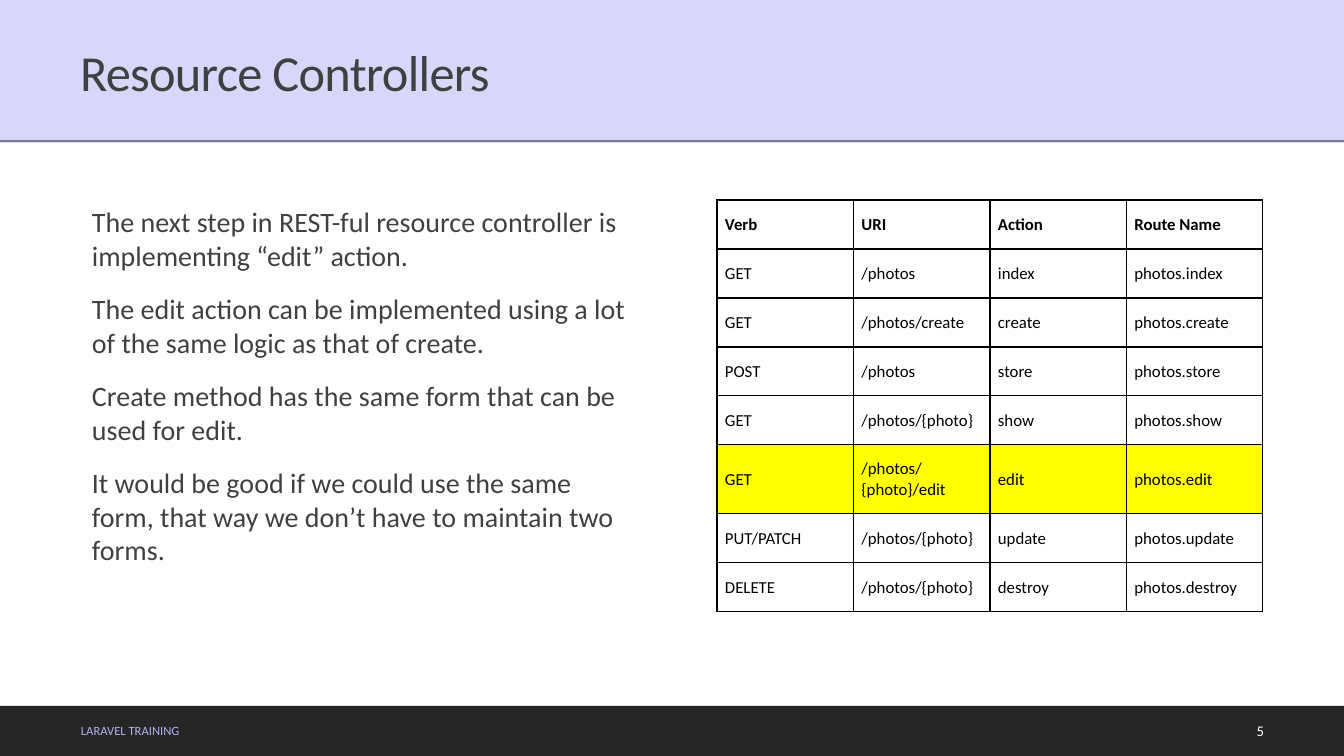
"""Build the Resource Controllers slide with its route table."""
from lxml import etree
from pptx import Presentation
from pptx.dml.color import RGBColor
from pptx.enum.shapes import MSO_CONNECTOR, MSO_SHAPE
from pptx.enum.text import MSO_ANCHOR, MSO_AUTO_SIZE, PP_ALIGN
from pptx.oxml import parse_xml
from pptx.oxml.ns import nsdecls, qn
from pptx.util import Pt

PX = 914400 / 100.8
RECT = MSO_SHAPE.RECTANGLE
LINE = MSO_CONNECTOR.STRAIGHT
MID, TOP = MSO_ANCHOR.MIDDLE, MSO_ANCHOR.TOP
LEFT, RIGHT = PP_ALIGN.LEFT, PP_ALIGN.RIGHT
FIXED = MSO_AUTO_SIZE.NONE
DARK, LILAC, BLACK = "404040", "B2B1F4", "000000"
NOTES = [
    "The next step in REST-ful resource controller is implementing “edit” action.",
    "The edit action can be implemented using a lot of the same logic as that of create.",
    "Create method has the same form that can be used for edit.",
    "It would be good if we could use the same form, that way we don’t have to maintain two forms.",
]
ROUTES = [
    ("Verb", "URI", "Action", "Route Name"),
    ("GET", "/photos", "index", "photos.index"),
    ("GET", "/photos/create", "create", "photos.create"),
    ("POST", "/photos", "store", "photos.store"),
    ("GET", "/photos/{photo}", "show", "photos.show"),
    ("GET", "/photos/{photo}/edit", "edit", "photos.edit"),
    ("PUT/PATCH", "/photos/{photo}", "update", "photos.update"),
    ("DELETE", "/photos/{photo}", "destroy", "photos.destroy"),
]


def px(*nums):
    return [round(n * PX) for n in nums]


def write(para, text, size, color, bold=False):
    run = para.add_run()
    run.text = text
    font = run.font
    font.name, font.size, font.bold = "Calibri", Pt(size), bold
    font.color.rgb = RGBColor.from_string(color)
    return run


deck = Presentation()
deck.slide_width, deck.slide_height = px(1344, 756)
slide = deck.slides.add_slide(deck.slide_layouts[5])
shapes = slide.shapes

foot = shapes.add_shape(RECT, *px(0, 706, 1344, 50))
foot.shadow.inherit = False
foot.fill.solid()
foot.fill.fore_color.rgb = RGBColor.from_string("262626")
foot.line.fill.background()

rule = shapes.add_connector(LINE, *px(0, 141, 1344, 141))
rule.line.color.rgb = RGBColor.from_string(DARK)
rule.line.width = Pt(1)
etree.SubElement(rule._element.spPr, qn("a:effectLst"))

for left, wide, text, size, color, align in [
    (71, 752, "LARAVEL TRAINING", 9, LILAC, LEFT),
    (1205, 69, "5", 10.5, "FFFFFF", RIGHT),
]:
    box = shapes.add_textbox(*px(left, 711, wide, 40))
    frame = box.text_frame
    frame.word_wrap = True
    frame.vertical_anchor = MID
    para = frame.paragraphs[0]
    para.alignment = align
    write(para, text, size, color)

title = shapes.title
title.left, title.top, title.width, title.height = px(0, 0, 1344, 143)
title.fill.solid()
title.fill.fore_color.rgb = RGBColor.from_string(LILAC)
tint = title._element.spPr.find(".//" + qn("a:srgbClr"))
etree.SubElement(tint, qn("a:alpha"), val="50000")
frame = title.text_frame
frame.word_wrap = True
frame.auto_size = FIXED
frame.vertical_anchor = MID
frame.margin_left, frame.margin_top, frame.margin_right, frame.margin_bottom = px(80, 12, 10, 5)
para = frame.paragraphs[0]
para.alignment = LEFT
para.line_spacing = 0.9
run = write(para, "Resource Controllers", 36, DARK)
run.font._element.set("spc", "-50")
shapes._spTree.append(title._element)

body = shapes.add_textbox(*px(82, 200, 546, 413))
frame = body.text_frame
frame.word_wrap = True
frame.vertical_anchor = TOP
frame.margin_left = frame.margin_right = 0
for i, note in enumerate(NOTES):
    para = frame.add_paragraph() if i else frame.paragraphs[0]
    para.space_before, para.space_after = Pt(12), Pt(2)
    para._p.get_or_add_pPr().set("marL", str(px(10)[0]))
    write(para, note, 20, DARK)

grid = shapes.add_table(len(ROUTES), 4, *px(717, 200, 546, 412)).table
grid.horz_banding = False
for r, route in enumerate(ROUTES):
    edit = route[2] == "edit"
    grid.rows[r].height = px(69 if edit else 49)[0]
    for c, text in enumerate(route):
        cell = grid.cell(r, c)
        cell.vertical_anchor = MID
        cell.margin_left, cell.margin_top, cell.margin_right, cell.margin_bottom = px(8, 8, 8, 8)
        write(cell.text_frame.paragraphs[0], text, 12, BLACK, r == 0)
        props = cell._tc.get_or_add_tcPr()
        for side in "LRTB":
            props.append(parse_xml(
                f'<a:ln{side} {nsdecls("a")} w="12700"><a:solidFill>'
                f'<a:srgbClr val="{BLACK}"/></a:solidFill></a:ln{side}>'))
        if edit:
            cell.fill.solid()
            cell.fill.fore_color.rgb = RGBColor.from_string("FFFF00")
        else:
            cell.fill.background()

deck.save("out.pptx")
